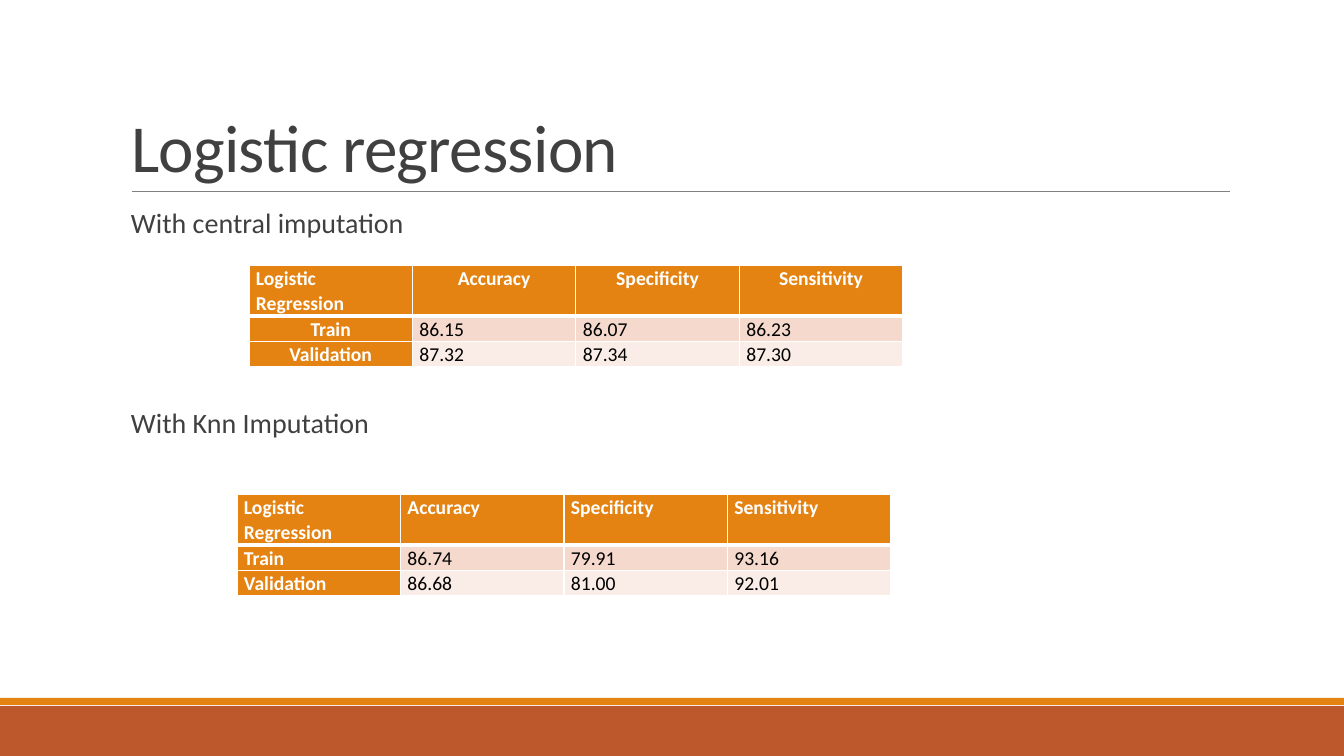
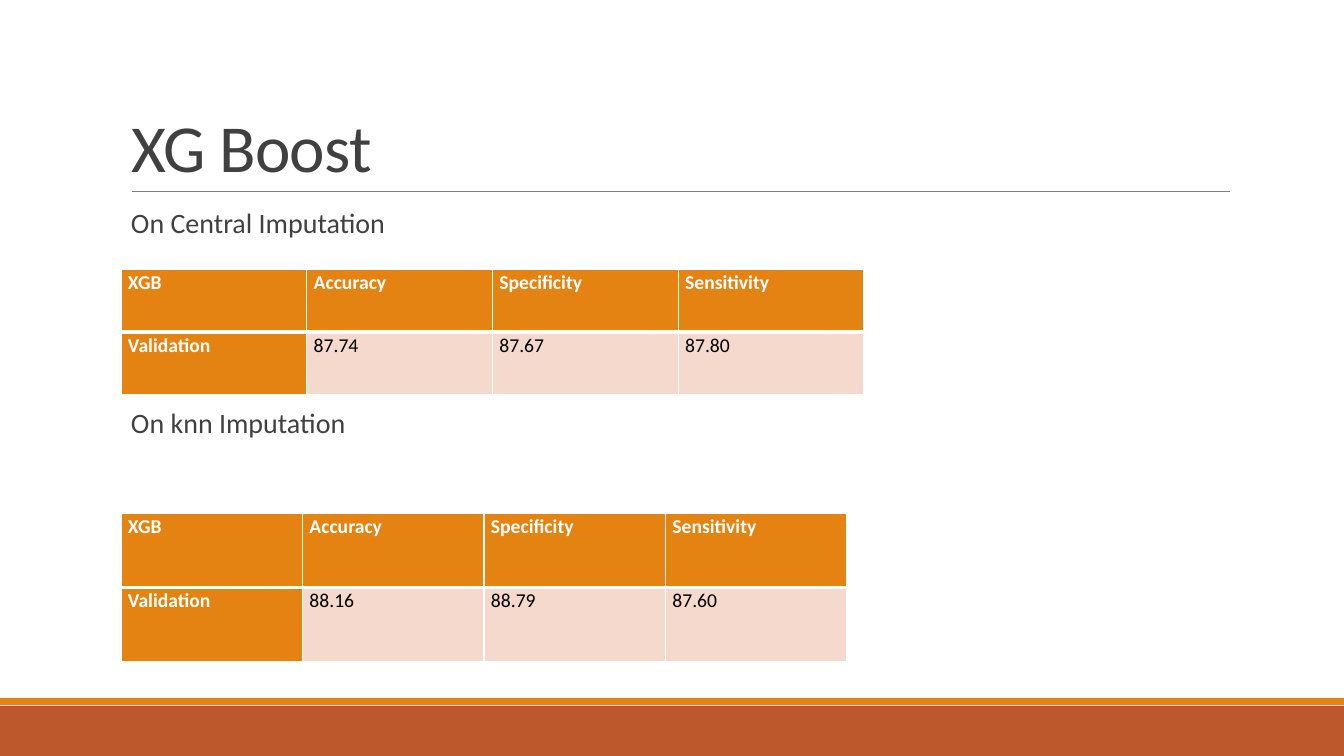
from dataclasses import dataclass

from lxml.etree import SubElement
from pptx import Presentation
from pptx.dml.color import RGBColor
from pptx.enum.shapes import MSO_CONNECTOR, MSO_SHAPE
from pptx.enum.text import MSO_ANCHOR, MSO_AUTO_SIZE, PP_ALIGN
from pptx.oxml.ns import qn
from pptx.util import Pt

WIDTH, HEIGHT = 1344, 756
EMU_PER_PX = 12192000 / WIDTH


@dataclass(frozen=True)
class Theme:
    font: str = "Calibri"
    title_size: int = 48
    heading_size: int = 20
    table_size: int = 14
    text: str = "404040"
    rule: str = "808080"
    band: str = "BD582C"
    accent: str = "E48312"
    stripes: tuple = ("F5D9CC", "FAEDE7")
    white: str = "FFFFFF"
    black: str = "000000"


THEME = Theme()
METRICS = ["Accuracy", "Specificity", "Sensitivity"]


def px(length):
    return round(length * EMU_PER_PX)


def place(box):
    return [px(length) for length in box]


def rgb(colour):
    return RGBColor.from_string(colour)


def style_text(para, size, colour, bold=False, spacing=1.0, align=PP_ALIGN.LEFT):
    para.alignment = align
    para.line_spacing = spacing
    for span in para.runs:
        span.font.name = THEME.font
        span.font.size = Pt(size)
        span.font.bold = bold
        span.font.color.rgb = rgb(colour)


# Shared frame: footer bands, rule and title
def add_band(page, box, colour):
    band = page.shapes.add_shape(MSO_SHAPE.RECTANGLE, *place(box))
    band.shadow.inherit = False
    band.fill.solid()
    band.fill.fore_color.rgb = rgb(colour)
    band.line.fill.background()


def add_rule(page, left, right, top):
    rule = page.shapes.add_connector(
        MSO_CONNECTOR.STRAIGHT, *place((left, top, right, top)))
    rule.line.color.rgb = rgb(THEME.rule)
    rule.line.width = Pt(0.5)
    SubElement(rule.element.spPr, qn("a:effectLst"))


def set_title(page, text, box):
    title = page.shapes.title
    title.left, title.top, title.width, title.height = place(box)
    frame = title.text_frame
    frame.text = text
    frame.auto_size = MSO_AUTO_SIZE.NONE
    frame.vertical_anchor = MSO_ANCHOR.BOTTOM
    para = frame.paragraphs[0]
    style_text(para, THEME.title_size, THEME.text, spacing=0.85)
    for span in para.runs:
        span.font._element.set("spc", "-50")


def add_page(deck, title):
    page = deck.slides.add_slide(deck.slide_layouts[5])
    add_band(page, (0, 706, WIDTH, 50), THEME.band)
    add_band(page, (0, 698, WIDTH, 7), THEME.accent)
    add_rule(page, 132, 1230, 191)
    set_title(page, title, (121, 31, 1109, 160))
    return page


# Section: heading and result table
def add_heading(page, text, box):
    heading = page.shapes.add_textbox(*place(box))
    frame = heading.text_frame
    frame.word_wrap = True
    frame.margin_left = frame.margin_right = 0
    frame.margin_top = frame.margin_bottom = 0
    frame.text = text
    style_text(frame.paragraphs[0], THEME.heading_size, THEME.text, spacing=0.9)


def set_borders(cell, top, bottom):
    properties = cell._tc.get_or_add_tcPr()
    for side, points in zip("LRTB", (1, 1, top, bottom)):
        line = SubElement(properties, qn(f"a:ln{side}"), w=str(Pt(points)))
        fill = SubElement(line, qn("a:solidFill"))
        SubElement(fill, qn("a:srgbClr"), val=THEME.white)


def fill_cell(cell, text, row, column, centred):
    is_label = row == 0 or column == 0
    set_borders(cell, top=3 if row == 1 else 1, bottom=3 if row == 0 else 1)
    cell.fill.solid()
    cell.fill.fore_color.rgb = rgb(
        THEME.accent if is_label else THEME.stripes[(row - 1) % 2])
    cell.margin_left = cell.margin_right = px(7)
    cell.margin_top = cell.margin_bottom = 0
    cell.text = text
    # The corner label stays left when the other labels are centred
    centre = centred and is_label and row + column > 0
    style_text(cell.text_frame.paragraphs[0], THEME.table_size,
               THEME.white if is_label else THEME.black, is_label, 1.07,
               PP_ALIGN.CENTER if centre else PP_ALIGN.LEFT)


def add_results(page, box, corner, results, header_lines=1, centred=False):
    rows = [[corner, *METRICS], *results]
    shares = [header_lines] + [1] * len(results)
    frame = page.shapes.add_table(len(rows), len(rows[0]), *place(box))
    table = frame.table
    table.first_col = True
    for column in table.columns:
        column.width = px(box[2] / len(rows[0]))
    for index, values in enumerate(rows):
        table.rows[index].height = px(box[3] * shares[index] / sum(shares))
        for column, value in enumerate(values):
            fill_cell(table.cell(index, column), value, index, column, centred)


def add_sections(page, headings):
    for index, heading in enumerate(headings):
        add_heading(page, heading, (131, 209 + 200 * index, 1098, 32))


# Slides
def add_logistic_page(deck):
    page = add_page(deck, "Logistic regression")
    add_sections(page, ["With central imputation", "With Knn Imputation"])
    add_results(page, (249, 265, 654, 102), "Logistic Regression",
                [["Train", "86.15", "86.07", "86.23"],
                 ["Validation", "87.32", "87.34", "87.30"]],
                header_lines=2, centred=True)
    add_results(page, (237, 494, 654, 102), "Logistic Regression",
                [["Train", "86.74", "79.91", "93.16"],
                 ["Validation", "86.68", "81.00", "92.01"]],
                header_lines=2)


def add_boost_page(deck):
    page = add_page(deck, "XG Boost")
    add_sections(page, ["On Central Imputation", "On knn Imputation"])
    add_results(page, (121, 269, 743, 126), "XGB",
                [["Validation", "87.74", "87.67", "87.80"]])
    add_results(page, (121, 513, 726, 149), "XGB",
                [["Validation", "88.16", "88.79", "87.60"]])


def main():
    deck = Presentation()
    deck.slide_width, deck.slide_height = px(WIDTH), px(HEIGHT)
    add_logistic_page(deck)
    add_boost_page(deck)
    deck.save("out.pptx")


if __name__ == "__main__":
    main()
